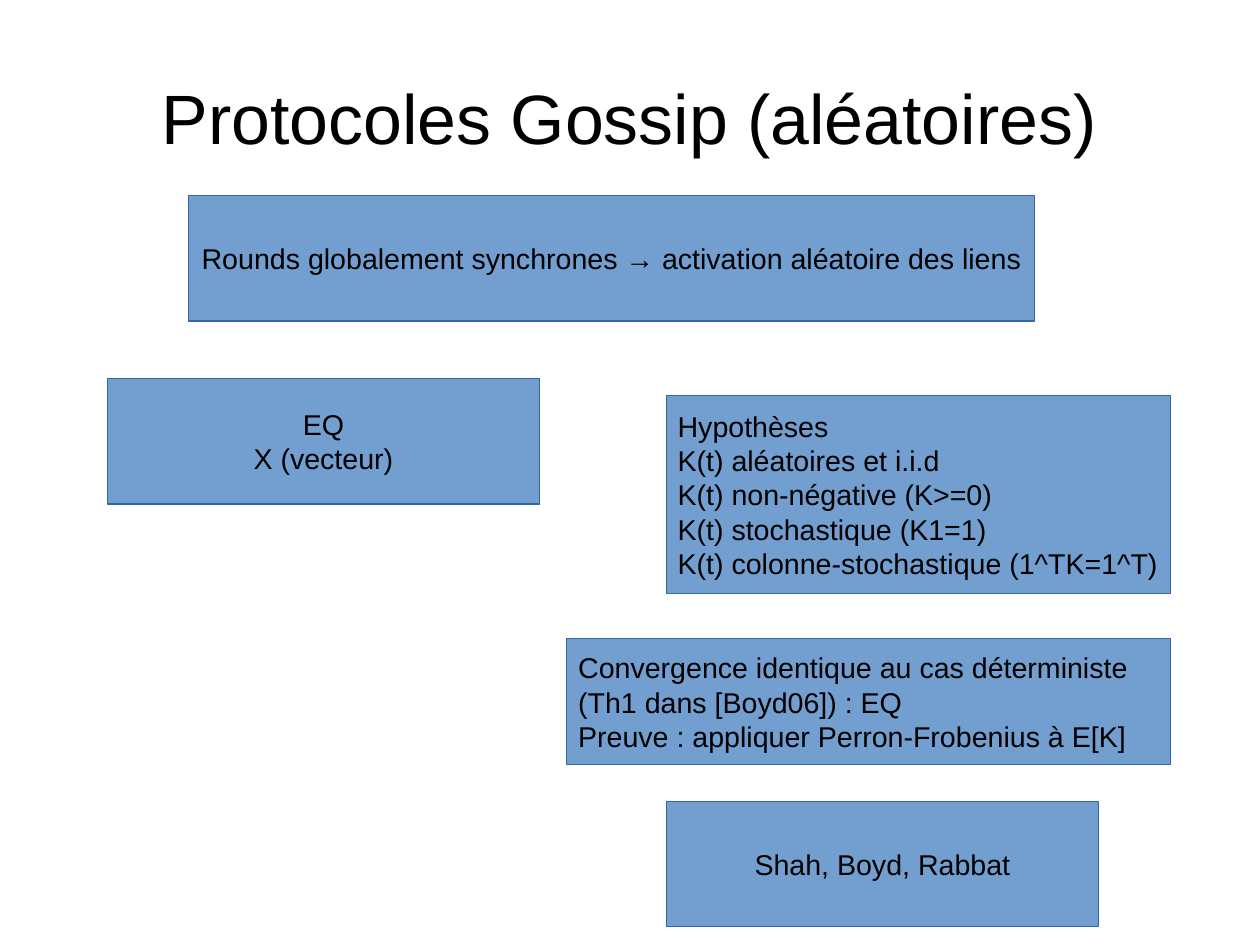
from pptx import Presentation, util as u
from pptx.dml.color import RGBColor
from pptx.enum import shapes, text

MID = text.MSO_ANCHOR.MIDDLE
LEFT, MEAN = text.PP_ALIGN.LEFT, text.PP_ALIGN.CENTER
SIZE = {"slide_width": u.Inches(28 / 2.54), "slide_height": u.Inches(21 / 2.54)}
HEAD = {"vertical_anchor": MID, "word_wrap": True,
        "auto_size": text.MSO_AUTO_SIZE.SHAPE_TO_FIT_TEXT,
        "margin_left": 0, "margin_right": 0, "margin_top": 0, "margin_bottom": 0}
NOTE = {"vertical_anchor": MID, "word_wrap": False,
        "margin_left": u.Inches(0.1), "margin_right": u.Inches(0.1),
        "margin_top": u.Inches(0.05), "margin_bottom": u.Inches(0.05)}
NOTES = [
    ((5.83, 7.01, 3.78, 1.1), MEAN, ["Shah, Boyd, Rabbat"]),
    ((1.65, 1.71, 7.4, 1.1), MEAN,
     ["Rounds globalement synchrones → activation aléatoire des liens"]),
    ((0.94, 3.31, 3.78, 1.1), MEAN, ["EQ", "X (vecteur)"]),
    ((5.83, 3.46, 4.41, 1.73), LEFT,
     ["Hypothèses", "K(t) aléatoires et i.i.d", "K(t) non-négative (K>=0)",
      "K(t) stochastique (K1=1)", "K(t) colonne-stochastique (1^TK=1^T)"]),
    ((4.96, 5.59, 5.28, 1.1), LEFT,
     ["Convergence identique au cas déterministe", "(Th1 dans [Boyd06]) : EQ",
      "Preuve : appliquer Perron-Frobenius à E[K]"]),
]


def paint(part, tint):
    """Give a fill or font colour object a hex colour."""
    part.rgb = RGBColor.from_string(tint)


def apply(item, form):
    """Set each attribute listed in a format dict."""
    for name, value in form.items():
        setattr(item, name, value)


def write(frame, lines, size, align, form):
    """Write one paragraph per line into a text frame."""
    apply(frame, form)
    frame.text = "\n".join(lines)
    for para in frame.paragraphs:
        para.alignment = align
        for run in para.runs:
            apply(run.font, {"name": "Arial", "size": u.Pt(size)})
            paint(run.font.color, "000000")


def title(slide, box, words):
    """Place the slide title in its box."""
    head = slide.shapes.title
    sides = ("left", "top", "width", "height")
    apply(head, dict(zip(sides, map(u.Inches, box))))
    write(head.text_frame, [words], 44, MEAN, HEAD)


def note(slide, box, align, lines):
    """Place a blue note with its lines in the given box."""
    card = slide.shapes.add_shape(shapes.MSO_SHAPE.RECTANGLE, *map(u.Inches, box))
    card.shadow.inherit = False
    card.fill.solid()
    paint(card.fill.fore_color, "729FCF")
    paint(card.line.color, "3465A4")
    card.line.width = u.Inches(0)
    write(card.text_frame, lines, 18, align, NOTE)


def main():
    """Build and save the slide."""
    deck = Presentation()
    apply(deck, SIZE)
    slide = deck.slides.add_slide(deck.slide_layouts[5])
    title(slide, (0.55, 0.33, 9.92, 1.38), "Protocoles Gossip (aléatoires)")
    for box, align, lines in NOTES:
        note(slide, box, align, lines)
    deck.save("out.pptx")


if __name__ == "__main__":
    main()
